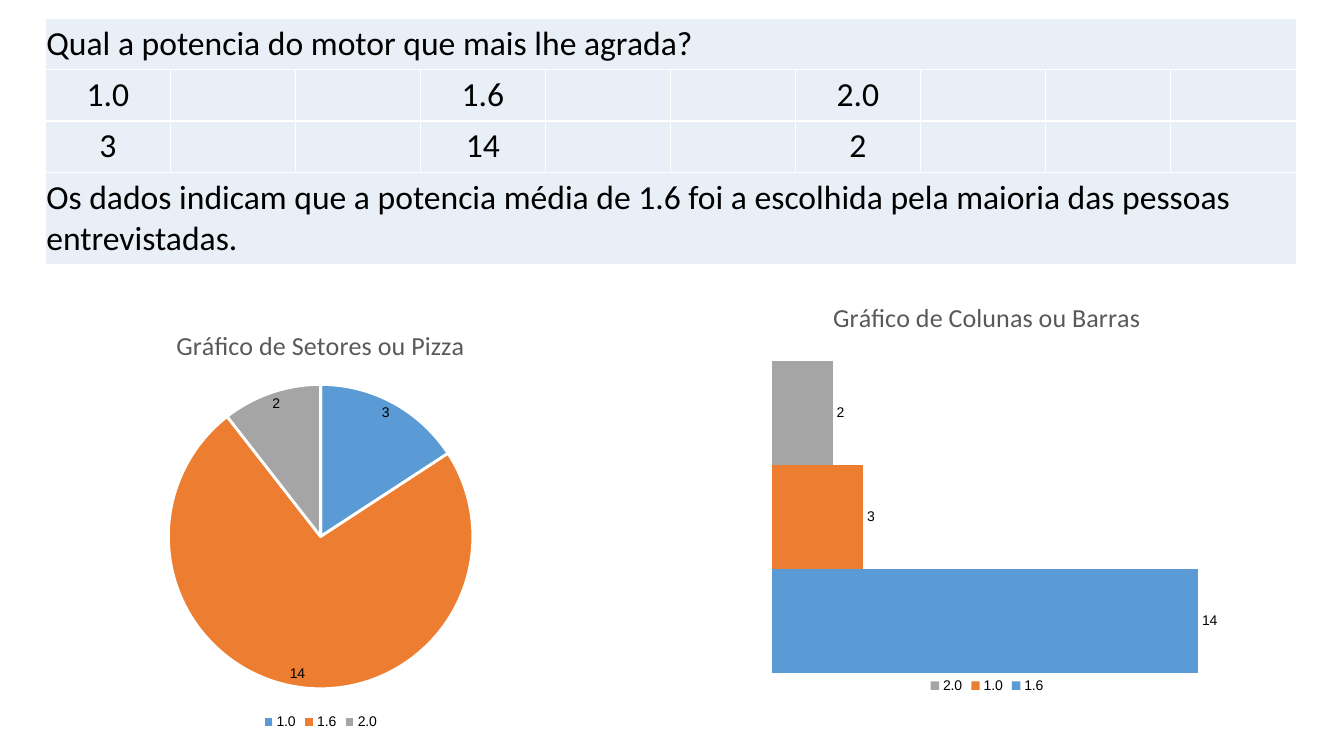
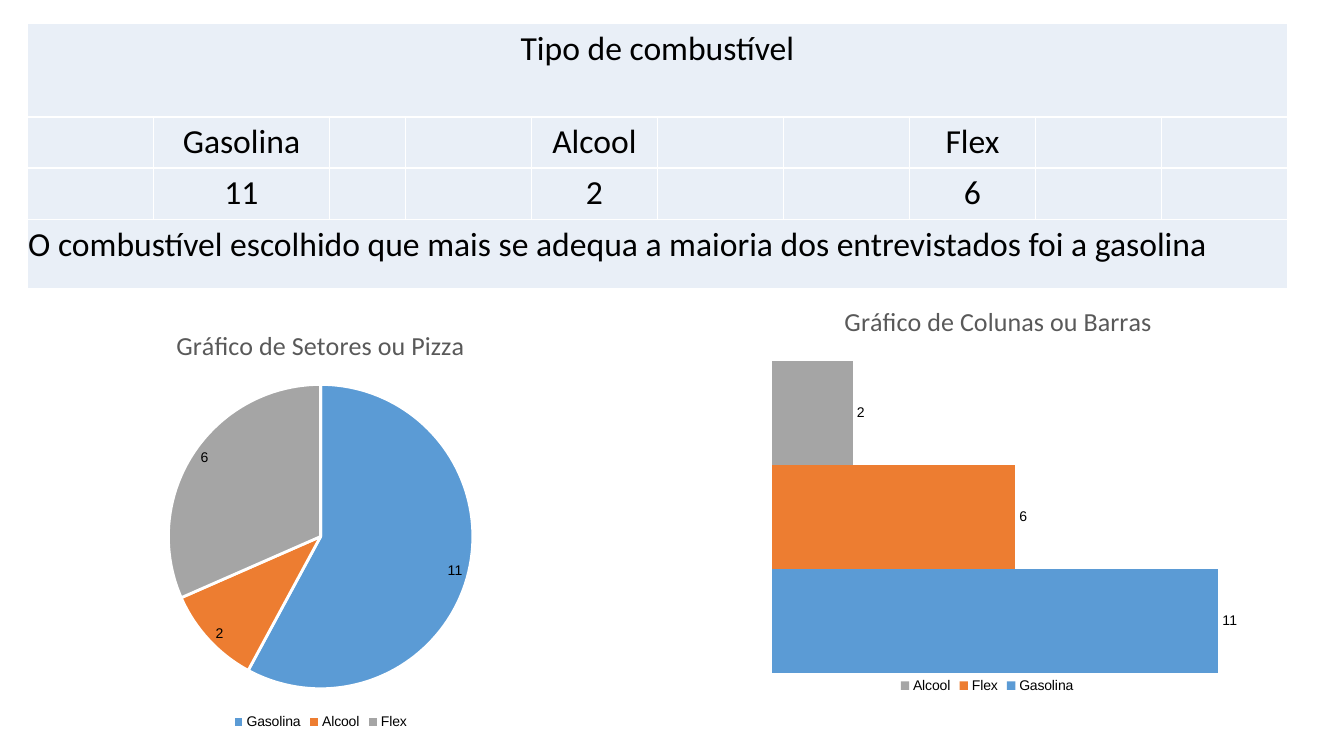
from lxml.etree import SubElement
from pptx import Presentation
from pptx.chart.data import CategoryChartData
from pptx.dml.color import RGBColor
from pptx.enum.chart import XL_CHART_TYPE, XL_LABEL_POSITION, XL_LEGEND_POSITION
from pptx.enum.text import PP_ALIGN
from pptx.oxml import parse_xml
from pptx.oxml.ns import nsdecls, qn
from pptx.util import Inches, Pt

SERIES_COLOURS = ["5B9BD5", "ED7D31", "A5A5A5"]


def colour(value):
    return RGBColor.from_string(value)


def set_layout(parent, index, target=None, **fractions):
    """Place a chart part at fractions of the chart's size."""
    for old in parent.findall(qn("c:layout")):
        parent.remove(old)
    layout = parse_xml(f"<c:layout {nsdecls('c')}><c:manualLayout/></c:layout>")
    settings = {"layoutTarget": target} if target else {}
    settings.update(xMode="edge", yMode="edge", **fractions)
    for name, value in settings.items():
        SubElement(layout[0], qn(f"c:{name}")).set("val", str(value))
    parent.insert(index, layout)


class SurveyDeck:
    """Survey slides: an answer table above a pie chart and a bar chart."""

    table_fill = "E9EFF7"
    white = "FFFFFF"
    black = "000000"
    title_colour = "595959"
    text_font = "Calibri"
    chart_font = "Arial"
    column_count = 10

    def __init__(self):
        self.deck = Presentation()
        self.deck.slide_width = Inches(13.33)
        self.deck.slide_height = Inches(7.5)
        self.page = None

    def add_page(self):
        self.page = self.deck.slides.add_slide(self.deck.slide_layouts[6])

    def style_font(self, font, size, name, value):
        font.size = Pt(size)
        font.name = name
        font.bold = False
        font.color.rgb = colour(value)

    def style_cell(self, cell):
        cell.fill.solid()
        cell.fill.fore_color.rgb = colour(self.table_fill)
        cell.margin_left = cell.margin_right = Inches(0.01)
        cell.margin_top = cell.margin_bottom = Inches(0.05)
        properties = cell._tc.get_or_add_tcPr()
        for index, side in enumerate("LRTB"):
            properties.insert(index, parse_xml(
                f'<a:ln{side} {nsdecls("a")} w="12192"><a:solidFill>'
                f'<a:srgbClr val="{self.white}"/></a:solidFill></a:ln{side}>'))

    def write_cell(self, cell, text, align):
        para = cell.text_frame.paragraphs[0]
        para.text = text
        para.alignment = align
        self.style_font(para.font, 24, self.text_font, self.black)

    def add_table(self, left, top, widths, heights, heading, heading_align, answers, conclusion):
        """Add the table; answers maps a column to its label and count."""
        table = self.page.shapes.add_table(
            len(heights), len(widths), Inches(left), Inches(top),
            Inches(sum(widths)), Inches(sum(heights))).table
        table.first_row = table.horz_banding = False
        for column, width in zip(table.columns, widths):
            column.width = Inches(width)
        for row, height in zip(table.rows, heights):
            row.height = Inches(height)
        for cell in table.iter_cells():
            self.style_cell(cell)
        last = self.column_count - 1
        for row, text, align in [(0, heading, heading_align), (3, conclusion, PP_ALIGN.LEFT)]:
            table.cell(row, 0).merge(table.cell(row, last))
            self.write_cell(table.cell(row, 0), text, align)
        for column, (label, count) in answers.items():
            self.write_cell(table.cell(1, column), label, PP_ALIGN.CENTER)
            self.write_cell(table.cell(2, column), str(count), PP_ALIGN.CENTER)

    def add_chart(self, kind, place, title, data):
        chart = self.page.shapes.add_chart(kind, *map(Inches, place), data).chart
        self.style_font(chart.font, 10, self.chart_font, self.black)
        chart.has_title = True
        para = chart.chart_title.text_frame.paragraphs[0]
        para.text = title
        self.style_font(para.font, 18.6, self.text_font, self.title_colour)
        chart.has_legend = True
        chart.legend.position = XL_LEGEND_POSITION.BOTTOM
        chart.legend.include_in_layout = False
        plot = chart.plots[0]
        plot.has_data_labels = True
        plot.data_labels.show_value = True
        return chart

    def add_pie(self, answers):
        data = CategoryChartData()
        data.categories = [label for label, _ in answers]
        data.add_series("Series 1", [count for _, count in answers])
        chart = self.add_chart(XL_CHART_TYPE.PIE, (0.27, 3.06, 5.82, 4.22),
                               "Gráfico de Setores ou Pizza", data)
        plot = chart.plots[0]
        plot.vary_by_categories = True
        plot.data_labels.position = XL_LABEL_POSITION.BEST_FIT
        for index, value in enumerate(SERIES_COLOURS):
            slice_format = plot.series[0].points[index].format
            slice_format.fill.solid()
            slice_format.fill.fore_color.rgb = colour(value)
            slice_format.line.color.rgb = colour(self.white)
            slice_format.line.width = Pt(2)

    def add_bars(self, answers, title_x, title_y):
        """Add one bar per answer, the most frequent at the bottom."""
        data = CategoryChartData()
        data.categories = ["1"]
        for label, count in sorted(answers, key=lambda answer: -answer[1]):
            data.add_series(label, [count])
        chart = self.add_chart(XL_CHART_TYPE.BAR_CLUSTERED, (6.98, 2.8, 5.62, 4.12),
                               "Gráfico de Colunas ou Barras", data)
        chart.category_axis.visible = chart.value_axis.visible = False
        chart.value_axis.has_major_gridlines = False
        chart.value_axis.minimum_scale = 0
        plot = chart.plots[0]
        plot.vary_by_categories = False
        plot.gap_width = plot.overlap = 0
        plot.data_labels.position = XL_LABEL_POSITION.OUTSIDE_END
        for series, value in zip(plot.series, SERIES_COLOURS):
            series.format.fill.solid()
            series.format.fill.fore_color.rgb = colour(value)
        frame = chart._chartSpace.chart
        set_layout(frame.find(qn("c:title")), 1, x=title_x, y=title_y)
        set_layout(frame.plotArea, 0, "inner", x=0.12, y=0.19, w=0.86, h=0.75)

    def save(self):
        self.deck.save("out.pptx")


def main():
    survey = SurveyDeck()

    engine = {0: ("1.0", 3), 3: ("1.6", 14), 6: ("2.0", 2)}
    survey.add_page()
    survey.add_table(
        0.45, 0.18, [1.24] * 9 + [1.25], [0.51] * 3 + [0.91],
        "Qual a potencia do motor que mais lhe agrada?", PP_ALIGN.LEFT, engine,
        "Os dados indicam que a potencia média de 1.6 foi a escolhida "
        "pela maioria das pessoas entrevistadas.")
    survey.add_pie(engine.values())
    survey.add_bars(engine.values(), 0.22, 0.03)

    fuel = {1: ("Gasolina", 11), 4: ("Alcool", 2), 7: ("Flex", 6)}
    survey.add_page()
    survey.add_table(
        0.27, 0.23, [1.25, 1.75, 0.75] + [1.25] * 7, [0.93, 0.42, 0.42, 0.69],
        "Tipo de combustível", PP_ALIGN.CENTER, fuel,
        "O combustível escolhido que mais se adequa a maioria dos "
        "entrevistados foi a gasolina")
    survey.add_pie(fuel.values())
    survey.add_bars(fuel.values(), 0.24, 0.04)

    survey.save()


if __name__ == "__main__":
    main()
